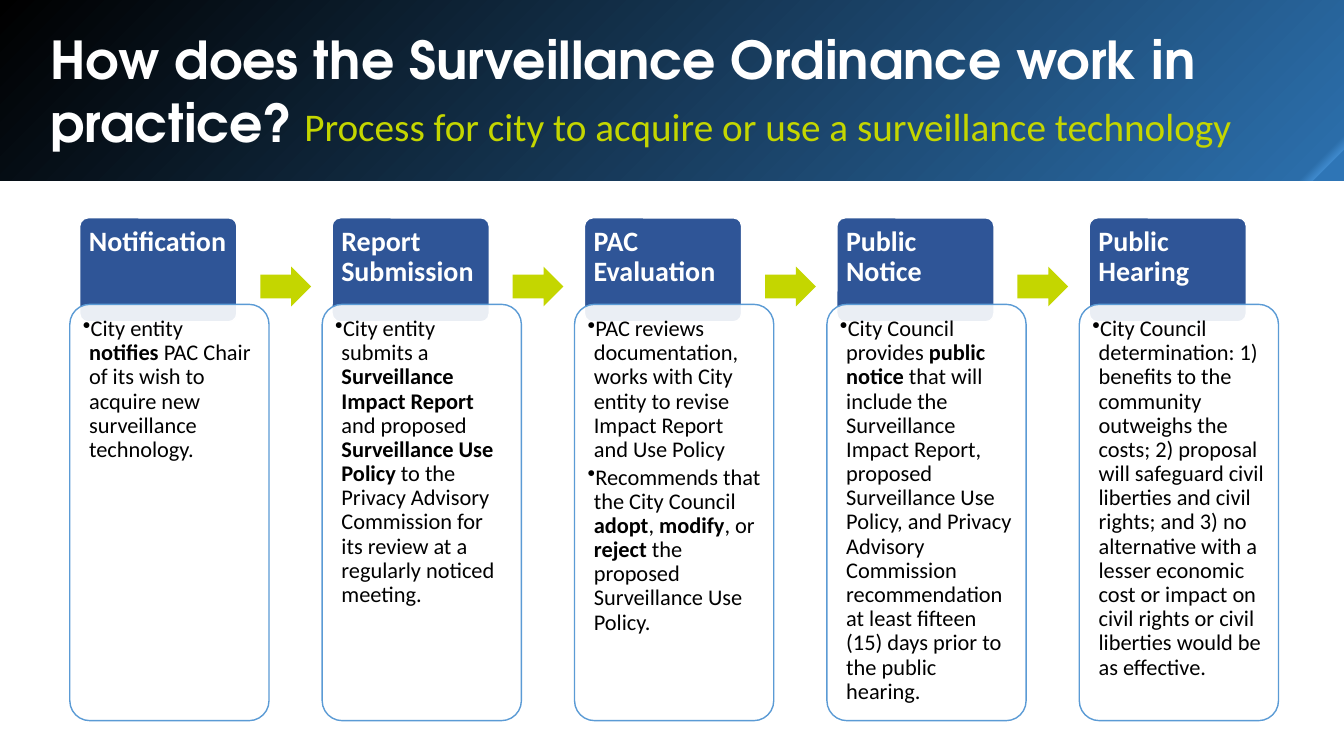
from lxml import etree
from pptx import Presentation
from pptx.dml.color import RGBColor
from pptx.enum.shapes import MSO_SHAPE
from pptx.enum.text import MSO_ANCHOR, PP_ALIGN
from pptx.oxml.ns import qn
from pptx.util import Cm, Pt

RECTANGLE = MSO_SHAPE.RECTANGLE
ROUNDED = MSO_SHAPE.ROUNDED_RECTANGLE
RIGHT_ARROW = MSO_SHAPE.RIGHT_ARROW
TOP, MIDDLE = MSO_ANCHOR.TOP, MSO_ANCHOR.MIDDLE
LEFT = PP_ALIGN.LEFT

COLORS = {
    "white": "FFFFFF",
    "black": "000000",
    "tab": "2F5597",
    "outline": "5B9BD5",
    "lime": "C4D600",
}
BAND_STOPS = [(0, "000000"), (97, "2B6DA9"), (98, "408BCE"), (98, "2E75B6")]
TITLE_FONT, BODY_FONT = "TeX Gyre Adventor", "Calibri"
COLUMN_PITCH = 6.36
STEPS = [
    ("Notification", [
        "City entity *notifies* PAC Chair of its wish to acquire new "
        "surveillance technology."]),
    ("Report Submission", [
        "City entity submits a *Surveillance Impact Report *and proposed "
        "*Surveillance Use Policy *to the Privacy Advisory Commission for "
        "its review at a regularly noticed meeting."]),
    ("PAC Evaluation", [
        "PAC reviews documentation, works with City entity to revise Impact "
        "Report and Use Policy",
        "Recommends that the City Council *adopt*, *modify*, or *reject* the "
        "proposed Surveillance Use Policy."]),
    ("Public Notice", [
        "City Council provides *public notice* that will include the "
        "Surveillance Impact Report, proposed Surveillance Use Policy, and "
        "Privacy Advisory Commission recommendation at least fifteen (15) "
        "days prior to the public hearing."]),
    ("Public Hearing", [
        "City Council determination: 1) benefits to the community outweighs "
        "the costs; 2) proposal will safeguard civil liberties and civil "
        "rights; and 3) no alternative with a lesser economic cost or impact "
        "on civil rights or civil liberties would be as effective."]),
]


def color(name):
    """Return the named colour."""
    return RGBColor.from_string(COLORS[name])


def add_block(slide, kind, box, fill, line=None):
    """Add a flat preset shape in a box given in centimetres."""
    shape = slide.shapes.add_shape(kind, *map(Cm, box))
    shape.shadow.inherit = False
    shape.fill.solid()
    shape.fill.fore_color.rgb = color(fill)
    if line:
        shape.line.color.rgb = color(line)
        shape.line.width = Pt(1)
    else:
        shape.line.fill.background()
    return shape


def set_frame(frame, insets, anchor=TOP):
    """Wrap a text frame and set its left, top, right and bottom insets."""
    frame.word_wrap = True
    frame.vertical_anchor = anchor
    (frame.margin_left, frame.margin_top,
     frame.margin_right, frame.margin_bottom) = map(Cm, insets)


def add_run(paragraph, text, size, name, bold=False, font=BODY_FONT):
    """Add one formatted run to a left-aligned paragraph."""
    paragraph.alignment = LEFT
    run = paragraph.add_run()
    run.text = text
    run.font.size = Pt(size)
    run.font.name = font
    run.font.bold = bold
    run.font.color.rgb = color(name)


def add_bullet(paragraph, text):
    """Write a bulleted paragraph, with bold parts between asterisks."""
    paragraph.line_spacing = 0.9
    paragraph.space_after = Pt(2.4)
    properties = paragraph._p.get_or_add_pPr()
    properties.set("marL", str(Cm(0.16)))
    properties.set("indent", str(Cm(-0.16)))
    etree.SubElement(properties, qn("a:buChar")).set("char", "•")
    for index, part in enumerate(text.split("*")):
        add_run(paragraph, part, 16, "black", bold=index % 2 == 1)


def add_band(slide, left, top, width, height):
    """Add the header band with its diagonal gradient."""
    band = add_block(slide, RECTANGLE, (left, top, width, height), "black")
    band.fill.gradient()
    gradient = band._element.spPr.find(qn("a:gradFill"))
    for child in list(gradient):
        gradient.remove(child)
    stops = etree.SubElement(gradient, qn("a:gsLst"))
    for position, value in BAND_STOPS:
        stop = etree.SubElement(stops, qn("a:gs"), pos=str(position * 1000))
        etree.SubElement(stop, qn("a:srgbClr"), val=value)
    etree.SubElement(gradient, qn("a:lin"), ang="2700000", scaled="0")


def add_header(slide, left, top, width, height):
    """Add the band, the title and the subtitle."""
    add_band(slide, left, top, width, height)
    insets = (0.25, 0.13, 0.25, 0.13)
    title = slide.shapes.add_textbox(
        Cm(left + 1.02), Cm(top + 0.56), Cm(30.43), Cm(3.45))
    set_frame(title.text_frame, insets)
    add_run(title.text_frame.paragraphs[0],
            "How does the Surveillance Ordinance work in practice?",
            37.3, "white", bold=True, font=TITLE_FONT)
    subtitle = slide.shapes.add_textbox(
        Cm(left + 7.42), Cm(top + 1.63), Cm(25.22), Cm(3.23))
    set_frame(subtitle.text_frame, insets, MIDDLE)
    paragraph = subtitle.text_frame.paragraphs[0]
    paragraph.line_spacing = 0.9
    add_run(paragraph,
            "Process for city to acquire or use a surveillance technology",
            28, "lime")


def add_step(slide, left, top, heading, bullets):
    """Add one step: a heading tab partly covered by a text card."""
    tab = add_block(slide, ROUNDED, (left + 0.25, top, 3.96, 2.62),
                    "tab", "white")
    tab.adjustments[0] = 0.08
    set_frame(tab.text_frame, (0.17, 0.17, 0.15, 0.5))
    paragraph = tab.text_frame.paragraphs[0]
    paragraph.line_spacing = 0.9
    add_run(paragraph, heading, 20, "white", bold=True)

    card = add_block(slide, ROUNDED, (left, top + 2.18, 5.02, 10.49),
                     "white", "outline")
    card.adjustments[0] = 0.1
    fill = card._element.spPr.find(qn("a:solidFill"))
    etree.SubElement(fill[0], qn("a:alpha"), val="90000")
    frame = card.text_frame
    set_frame(frame, (0.18, 0.18, 0.18, 0.18))
    for index, text in enumerate(bullets):
        add_bullet(frame.add_paragraph() if index else frame.paragraphs[0],
                   text)


def add_process(slide, left, top):
    """Add the row of steps with an arrow between neighbours."""
    for index, (heading, bullets) in enumerate(STEPS):
        step_left = left + index * COLUMN_PITCH
        add_step(slide, step_left, top, heading, bullets)
        if index < len(STEPS) - 1:
            arrow = add_block(slide, RIGHT_ARROW,
                              (step_left + 4.8, top + 1.23, 1.28, 1), "lime")
            arrow.adjustments[0] = 0.6


def main():
    """Build the slide and save the presentation."""
    presentation = Presentation()
    presentation.slide_width = Cm(33.87)
    presentation.slide_height = Cm(19.05)
    slide = presentation.slides.add_slide(presentation.slide_layouts[6])
    add_header(slide, 0, 0, 33.87, 4.55)
    add_process(slide, 1.76, 5.49)
    presentation.save("out.pptx")


if __name__ == "__main__":
    main()
